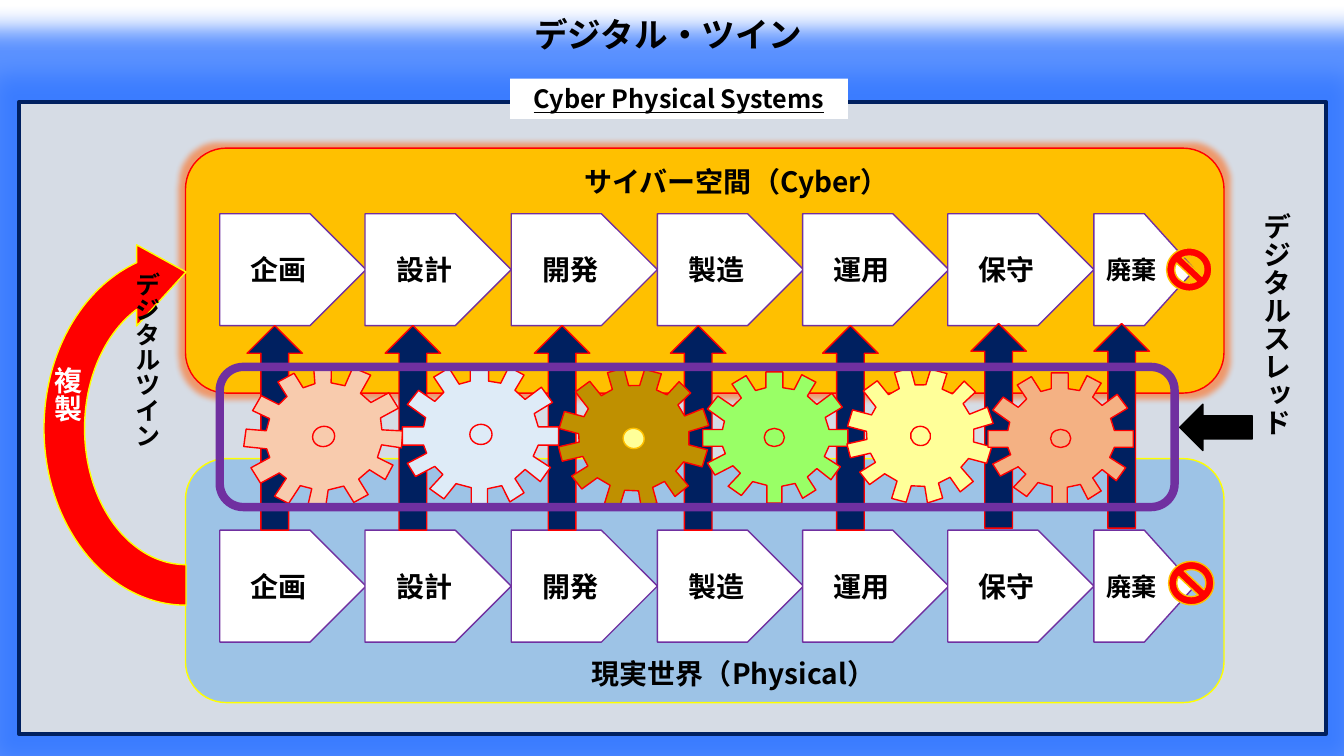
from math import cos, radians, sin

from pptx import Presentation
from pptx.dml.color import RGBColor
from pptx.enum.shapes import MSO_SHAPE as SHAPE
from pptx.enum.text import MSO_ANCHOR as ANCHOR, MSO_AUTO_SIZE as FIT, PP_ALIGN as ALIGN
from pptx.oxml import parse_xml
from pptx.oxml.ns import nsdecls
from pptx.util import Pt

PX = 9144  # 100 px to the inch
FONT = "Noto Sans CJK JP"
C = {
    "white": "FFFFFF", "black": "000000", "grey": "D6DCE5", "navy": "002060",
    "orange": "FFC000", "blue": "9DC3E6", "red": "FF0000", "yellow": "FFFF00",
    "purple": "7030A0", "peach": "F8CBAD", "ice": "DEEBF7", "green": "99FF66",
    "brown": "BF9000", "lemon": "FFFF99", "salmon": "F4B183",
    "blue glow": "3377FF", "orange glow": "FF6B1A",
}

prs = Presentation()
prs.slide_width, prs.slide_height = 1333 * PX, 750 * PX
s = prs.slides.add_slide(prs.slide_layouts[6])


def paint(sp, fill=None, line=None, width=1, glow=None):
    sp.shadow.inherit = False
    if fill:
        sp.fill.solid()
        sp.fill.fore_color.rgb = RGBColor.from_string(C[fill])
    else:
        sp.fill.background()
    if line:
        sp.line.color.rgb = RGBColor.from_string(C[line])
        sp.line.width = Pt(width)
    else:
        sp.line.fill.background()
    if glow:
        color, radius, alpha = glow
        effects = sp._element.spPr.find("{*}effectLst")
        effects.append(parse_xml(
            f'<a:glow {nsdecls("a")} rad="{Pt(radius)}"><a:srgbClr val="{C[color]}">'
            f'<a:alpha val="{alpha * 1000}"/></a:srgbClr></a:glow>'))
    return sp


def write(text, box=None, sp=None, size=20, color="black", underline=None,
          vertical=False, wrap=True, grow=True):
    sp = sp or s.shapes.add_textbox(*[v * PX for v in box])
    tf = sp.text_frame
    tf.word_wrap = wrap
    if grow:
        tf.auto_size = FIT.SHAPE_TO_FIT_TEXT
    else:
        tf.vertical_anchor = ANCHOR.MIDDLE
    if vertical:
        tf._txBody.bodyPr.set("vert", "eaVert")
    p = tf.paragraphs[0]
    p.alignment = ALIGN.CENTER
    r = p.add_run()
    r.text = text
    r.font.size, r.font.bold, r.font.underline = Pt(size), True, underline
    r.font.color.rgb = RGBColor.from_string(C[color])
    r.font.name = FONT
    r._r.get_or_add_rPr().append(parse_xml(f'<a:ea {nsdecls("a")} typeface="{FONT}"/>'))


# Frame and the two worlds
for kind, box, fill, line, width, glow in [
    (SHAPE.RECTANGLE, (19, 101, 1296, 627), "grey", "navy", 3, ("blue glow", 35, 80)),
    (SHAPE.ROUNDED_RECTANGLE, (184, 147, 1030, 243), "orange", "red", 1,
     ("orange glow", 8, 60)),
    (SHAPE.ROUNDED_RECTANGLE, (184, 455, 1030, 242), "blue", "yellow", 1, None),
]:
    sp = s.shapes.add_shape(kind, *[v * PX for v in box])
    paint(sp, fill, line, width, glow)

# Process steps in both worlds
steps = ["企画", "設計", "開発", "製造", "運用", "保守", "廃棄"]
for top in (526, 212):
    for i, step in enumerate(steps):
        last = i == len(steps) - 1
        sp = s.shapes.add_shape(SHAPE.PENTAGON, round(218 + i * 144.5) * PX, top * PX,
                                (100 if last else 145) * PX, 111 * PX)
        paint(sp, "white", "purple")
        write(step, sp=sp, size=18 if last else 20, grow=False)
write("サイバー空間（Cyber）", (548, 158, 365, 44))
write("現実世界（Physical）", (545, 646, 365, 44))

# Arrows from the physical to the cyber steps
for left, top in [(245, 323), (382, 323), (530, 323), (665, 323),
                  (816, 323), (963, 321), (1085, 321)]:
    sp = s.shapes.add_shape(SHAPE.UP_ARROW, left * PX, top * PX, 55 * PX, 203 * PX)
    paint(sp, "navy", "red")

# Replication arrow
sp = s.shapes.add_shape(SHAPE.CIRCULAR_ARROW, -11 * PX, 264 * PX, 391 * PX, 322 * PX)
sp.rotation = 270
paint(sp, "red", "yellow")
write("複製", (35, 354, 54, 110), color="white", vertical=True)

# Gears: one outline, turned and fitted to each box
gear = [
    (23, 53), (5, 40), (16, 26), (32, 37), (41, 28), (31, 13), (46, 4), (56, 20),
    (67, 17), (67, 0), (85, 0), (85, 17), (97, 19), (105, 3), (120, 11), (111, 26),
    (121, 35), (137, 23), (148, 38), (130, 49), (134, 62), (154, 62), (154, 80), (134, 80),
    (129, 91), (146, 102), (136, 116), (121, 104), (111, 113), (120, 127), (106, 136),
    (98, 120), (84, 123), (84, 141), (68, 141), (68, 122), (53, 118), (41, 133), (27, 123),
    (40, 109), (32, 101), (13, 111), (5, 98), (24, 88), (21, 80), (0, 80), (0, 62), (21, 62),
]
# box, outline turn, shape rotation, fill, hub box, hub rotation, hub fill, hub line
gears = [
    ((242, 363, 158, 141), -15, 344.9, "peach", (310, 423, 22, 20), 344.9, "peach", "red"),
    ((399, 361, 155, 142), 0, 0, "ice", (466, 421, 22, 20), 0, "ice", "red"),
    ((697, 369, 144, 130), 0, 0, "green", (758, 425, 20, 18), 0, "green", "red"),
    ((554, 365, 149, 139), 16, 0, "brown", (618, 425, 21, 20), 16, "lemon", "orange"),
    ((840, 365, 145, 134), 16, 0, "lemon", (903, 423, 20, 19), 16, "lemon", "red"),
    ((980, 370, 144, 130), 0, 0, "salmon", (1042, 426, 20, 18), 0, "salmon", "red"),
]
for (x, y, w, h), turn, rotation, fill, hub, hub_rotation, hub_fill, hub_line in gears:
    ca, sa = cos(radians(turn)), sin(radians(turn))
    unit = [(gx / 77 - 1, gy / 70.5 - 1) for gx, gy in gear]
    turned = [(u * ca - v * sa, u * sa + v * ca) for u, v in unit]
    us, vs = zip(*turned)
    kx, ky = w / (max(us) - min(us)), h / (max(vs) - min(vs))
    points = [((x + (u - min(us)) * kx) * PX, (y + (v - min(vs)) * ky) * PX)
              for u, v in turned]
    outline = s.shapes.build_freeform(*points[0])
    outline.add_line_segments(points[1:], close=True)
    sp = outline.convert_to_shape()
    sp.rotation = rotation
    paint(sp, fill, "red")
    sp = s.shapes.add_shape(SHAPE.OVAL, *[v * PX for v in hub])
    sp.rotation = hub_rotation
    paint(sp, hub_fill, hub_line)

# System label and twin caption
sp = s.shapes.add_shape(SHAPE.RECTANGLE, 506 * PX, 78 * PX, 335 * PX, 40 * PX)
paint(sp, "white")
write("Cyber Physical Systems", sp=sp, size=18, underline=True, wrap=False)
write("デジタルツイン", (116, 260, 50, 331), size=18, vertical=True)

# Digital thread frame, end-of-life signs and pointer
for kind, box, fill, line, width in [
    (SHAPE.ROUNDED_RECTANGLE, (218, 364, 947, 139), None, "purple", 6),
    (SHAPE.NO_SYMBOL, (1157, 246, 45, 43), "red", "orange", 1),
    (SHAPE.NO_SYMBOL, (1159, 557, 45, 43), "red", "orange", 1),
    (SHAPE.LEFT_ARROW, (1170, 401, 72, 46), "black", "black", 1),
]:
    paint(s.shapes.add_shape(kind, *[v * PX for v in box]), fill, line, width)
write("デジタルスレッド", (1234, 201, 54, 467), vertical=True)

# Title
write("デジタル・ツイン", (263, 9, 800, 50), size=24)

prs.save("out.pptx")
